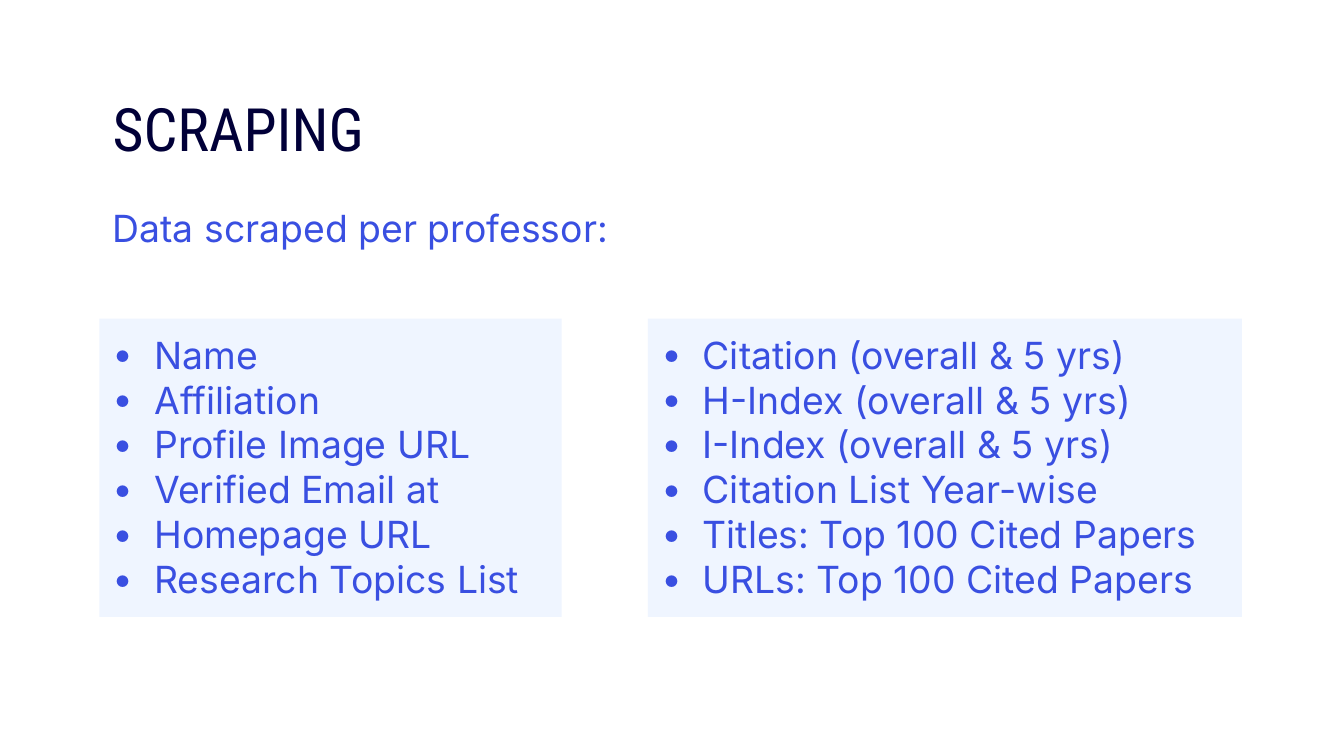
from dataclasses import dataclass

from lxml.etree import SubElement
from pptx import Presentation
from pptx.dml.color import RGBColor
from pptx.enum.shapes import MSO_SHAPE
from pptx.enum.text import MSO_ANCHOR, PP_ALIGN
from pptx.oxml.ns import qn
from pptx.util import Inches, Pt


@dataclass(frozen=True)
class Theme:
    ink: str = "010038"
    accent: str = "394FE1"
    panel: str = "EFF5FF"
    heading_font: str = "Roboto Condensed"
    body_font: str = "Inter"
    heading_size: int = 32
    body_size: int = 20


THEME = Theme()
UNIT = 0.1  # inches per grid column and row
COLS, ROWS = 100, 56.25
LEFT = 7.4
INDENT = 3.1
PANEL_TOP, PANEL_ROWS = 23.7, 22.2

PANELS = [
    (LEFT, 34.4, [
        "Name",
        "Affiliation",
        "Profile Image URL",
        "Verified Email at",
        "Homepage URL",
        "Research Topics List",
    ]),
    (48.2, 44.2, [
        "Citation (overall & 5 yrs)",
        "H-Index (overall & 5 yrs)",
        "I-Index (overall & 5 yrs)",
        "Citation List Year-wise",
        "Titles: Top 100 Cited Papers",
        "URLs: Top 100 Cited Papers",
    ]),
]


def grid(*cells):
    """Turn columns and rows of the grid into lengths."""
    return [Inches(cell * UNIT) for cell in cells]


def add_bullet(p, font):
    pPr = p._p.get_or_add_pPr()
    indent = grid(INDENT)[0]
    pPr.set("marL", str(indent))
    pPr.set("indent", str(-indent))
    SubElement(pPr, qn("a:buFont"), typeface=font)
    SubElement(pPr, qn("a:buChar"), char="•")


def write(tf, lines, font=THEME.body_font, size=THEME.body_size,
          color=THEME.accent, bullets=False, after=0):
    tf.word_wrap = True
    tf.vertical_anchor = MSO_ANCHOR.TOP
    tf.margin_left = tf.margin_right = Inches(0.1)
    tf.margin_top = tf.margin_bottom = Inches(0.1)
    for i, line in enumerate(lines):
        p = tf.paragraphs[0] if i == 0 else tf.add_paragraph()
        p.alignment = PP_ALIGN.LEFT
        p.space_after = Pt(after)
        if bullets:
            add_bullet(p, font)
        r = p.add_run()
        r.text = line
        r.font.name = font
        r.font.size = Pt(size)
        r.font.color.rgb = RGBColor.from_string(color)


def add_text(s, text, cells, **style):
    sp = s.shapes.add_textbox(*grid(*cells))
    write(sp.text_frame, [text], **style)


def add_list_panel(s, left, width, items):
    sp = s.shapes.add_shape(
        MSO_SHAPE.RECTANGLE, *grid(left, PANEL_TOP, width, PANEL_ROWS))
    sp.shadow.inherit = False
    sp.fill.solid()
    sp.fill.fore_color.rgb = RGBColor.from_string(THEME.panel)
    sp.line.fill.background()
    write(sp.text_frame, items, bullets=True)


def main():
    prs = Presentation()
    prs.slide_width, prs.slide_height = grid(COLS, ROWS)
    s = prs.slides.add_slide(prs.slide_layouts[6])
    add_text(s, "SCRAPING", (LEFT, 5.8, 25.8, 7), font=THEME.heading_font,
             size=THEME.heading_size, color=THEME.ink)
    for left, width, items in PANELS:
        add_list_panel(s, left, width, items)
    add_text(s, "Data scraped per professor:", (LEFT, 14.3, 42.6, 5.7), after=10)
    prs.save("out.pptx")


if __name__ == "__main__":
    main()
